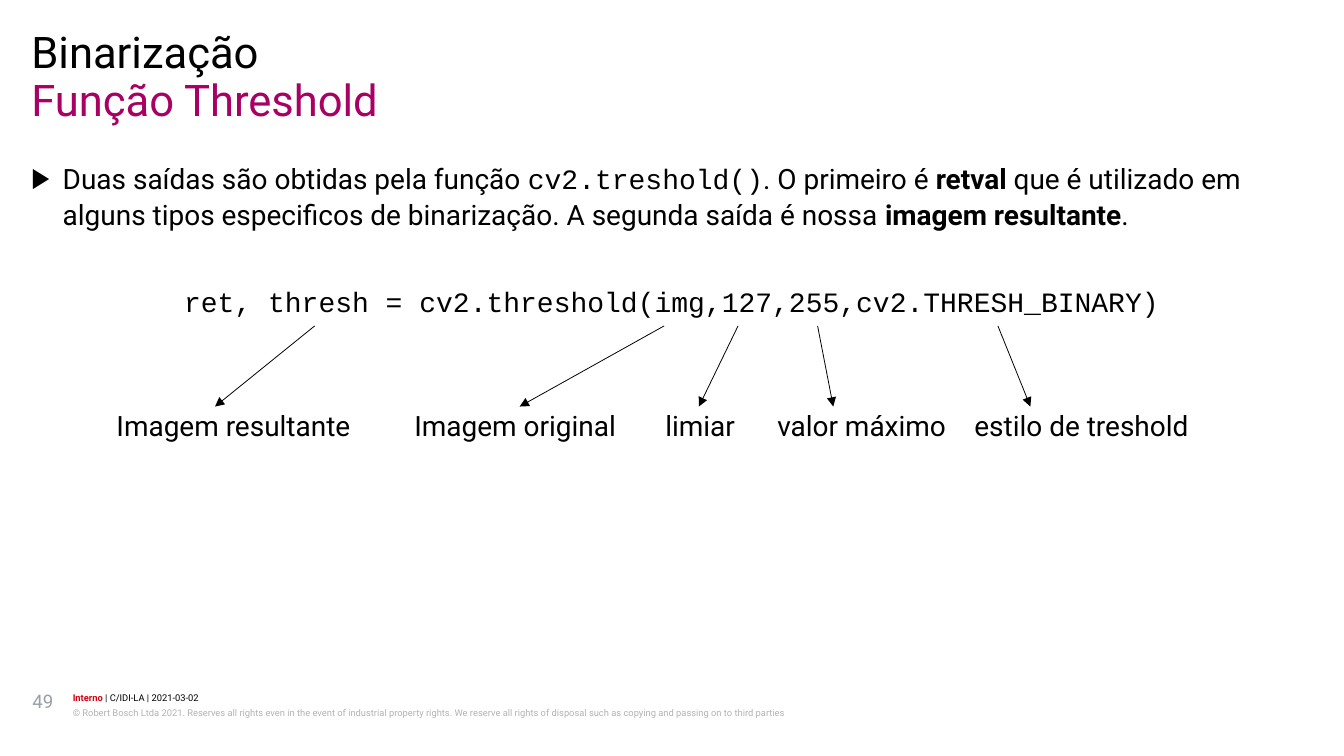
from lxml import etree
from pptx import Presentation
from pptx.dml.color import RGBColor
from pptx.enum.shapes import MSO_CONNECTOR
from pptx.enum.text import MSO_ANCHOR, MSO_AUTO_SIZE, PP_ALIGN
from pptx.oxml.ns import qn
from pptx.util import Inches, Pt

LEFT, CENTER = PP_ALIGN.LEFT, PP_ALIGN.CENTER
TOP = MSO_ANCHOR.TOP
NO_AUTOFIT = MSO_AUTO_SIZE.NONE
STRAIGHT = MSO_CONNECTOR.STRAIGHT

COLORS = {
    "text": "000000",
    "accent": "A80163",
    "alert": "D70012",
    "number": "999FA6",
    "legal": "B2B3B5",
}
SANS, MONO = "Roboto", "Courier New"
MARGIN, CONTENT_WIDTH = 0.28, 11.43
ARROW_TOP, LABEL_TOP = 2.91, 3.63

# Label, label left, arrow start x, arrow end x
CALLOUTS = [
    ("Imagem resultante", 1.04, 2.81, 1.92),
    ("Imagem original", 3.70, 5.93, 4.64),
    ("limiar", 5.94, 6.59, 6.24),
    ("valor máximo", 6.94, 7.30, 7.44),
    ("estilo de treshold", 8.70, 8.91, 9.20),
]


def place(shape, box):
    shape.left, shape.top, shape.width, shape.height = map(Inches, box)


def prepare_frame(shape, wrap=True):
    frame = shape.text_frame
    settings = {
        "margin_left": 0, "margin_top": 0, "margin_right": 0, "margin_bottom": 0,
        "word_wrap": wrap, "auto_size": NO_AUTOFIT, "vertical_anchor": TOP,
    }
    for name, value in settings.items():
        setattr(frame, name, value)
    return frame


def add_runs(paragraph, runs, size, color="text"):
    """Append (text, overrides) runs, where overrides may set name, bold or color."""
    for text, overrides in runs:
        run = paragraph.add_run()
        run.text = text
        values = {"name": SANS, "bold": False, "size": Pt(size), **overrides}
        run.font.color.rgb = RGBColor.from_string(COLORS[values.pop("color", color)])
        for name, value in values.items():
            setattr(run.font, name, value)


def set_spacing(paragraph, line, before=0, after=0, alignment=LEFT):
    values = {
        "line_spacing": line, "space_before": Pt(before),
        "space_after": Pt(after), "alignment": alignment,
    }
    for name, value in values.items():
        setattr(paragraph, name, value)


def set_bullet(paragraph, character=None, indent=0):
    properties = paragraph._p.get_or_add_pPr()
    properties.set("marL", str(Inches(indent)))
    properties.set("indent", str(-Inches(indent)))
    if character:
        etree.SubElement(properties, qn("a:buChar")).set("char", character)
    else:
        etree.SubElement(properties, qn("a:buNone"))


def add_text(slide, box, runs, size, color="text", line=1.0, after=0, wrap=True):
    frame = prepare_frame(slide.shapes.add_textbox(*map(Inches, box)), wrap)
    paragraph = frame.paragraphs[0]
    set_spacing(paragraph, line, after=after)
    add_runs(paragraph, runs, size, color)


def fill_heading(placeholder, box, text, color):
    place(placeholder, box)
    paragraph = prepare_frame(placeholder).paragraphs[0]
    set_bullet(paragraph)
    set_spacing(paragraph, 0.89)
    add_runs(paragraph, [(text, {})], 28, color)


def fill_body(placeholder, box):
    place(placeholder, box)
    frame = prepare_frame(placeholder)

    explanation = frame.paragraphs[0]
    set_bullet(explanation, "▶", 0.28)
    set_spacing(explanation, 1.07)
    add_runs(explanation, [
        ("Duas saídas são obtidas pela função ", {}),
        ("cv2.treshold()", {"name": MONO}),
        (". O primeiro é ", {}),
        ("retval", {"bold": True}),
        (" que é utilizado em alguns tipos especificos de binarização. "
         "A segunda saída é nossa ", {}),
        ("imagem resultante", {"bold": True}),
        (".", {}),
    ], 18)

    code = frame.add_paragraph()
    set_bullet(code)
    set_spacing(code, 1.07, before=33, alignment=CENTER)
    add_runs(code, [
        ("ret, thresh = cv2.threshold(img,127,255,cv2.THRESH_BINARY)", {"name": MONO}),
    ], 18)


def add_arrow(slide, start, end):
    arrow = slide.shapes.add_connector(STRAIGHT, *map(Inches, (*start, *end)))
    arrow.line.width = Pt(0.5)
    arrow.line.color.rgb = RGBColor.from_string(COLORS["text"])
    etree.SubElement(arrow.line._get_or_add_ln(), qn("a:tailEnd")).set("type", "triangle")
    etree.SubElement(arrow._element.spPr, qn("a:effectLst"))


def add_callouts(slide, arrow_top, label_top):
    """Explain each part of the code line with an arrow and a label."""
    for label, left, start, end in CALLOUTS:
        add_text(slide, (left, label_top, 1, 1), [(label, {})], 18,
                 line=Pt(23), wrap=False)
        add_arrow(slide, (start, arrow_top), (end, label_top))


def add_footer(slide, left, top, width):
    add_text(slide, (MARGIN + 0.01, top - 0.01, 0.32, 0.45), [("49", {})], 12, "number")
    add_text(slide, (left, top, width, 0.12), [
        ("Interno", {"bold": True, "color": "alert"}),
        (" | C/IDI-LA | 2021-03-02", {}),
    ], 6, line=1.07, after=1)
    add_text(slide, (left, top + 0.12, width, 0.24), [
        ("© Robert Bosch Ltda 2021. Reserves all rights even in the event of "
         "industrial property rights. We reserve all rights of disposal such as "
         "copying and passing on to third parties", {}),
    ], 6, "legal", line=1.2, after=1)


def main():
    presentation = Presentation()
    presentation.slide_width, presentation.slide_height = Inches(12), Inches(6.75)
    slide = presentation.slides.add_slide(presentation.slide_layouts[3])
    title, section, body = slide.placeholders

    fill_heading(section, (MARGIN, 0.28, CONTENT_WIDTH, 0.43), "Binarização", "text")
    fill_heading(title, (MARGIN, 0.71, CONTENT_WIDTH, 0.43), "Função Threshold", "accent")
    fill_body(body, (MARGIN, 1.42, CONTENT_WIDTH, 4.56))
    add_callouts(slide, ARROW_TOP, LABEL_TOP)
    add_footer(slide, 0.65, 6.17, 10.01)
    presentation.save("out.pptx")


if __name__ == "__main__":
    main()
